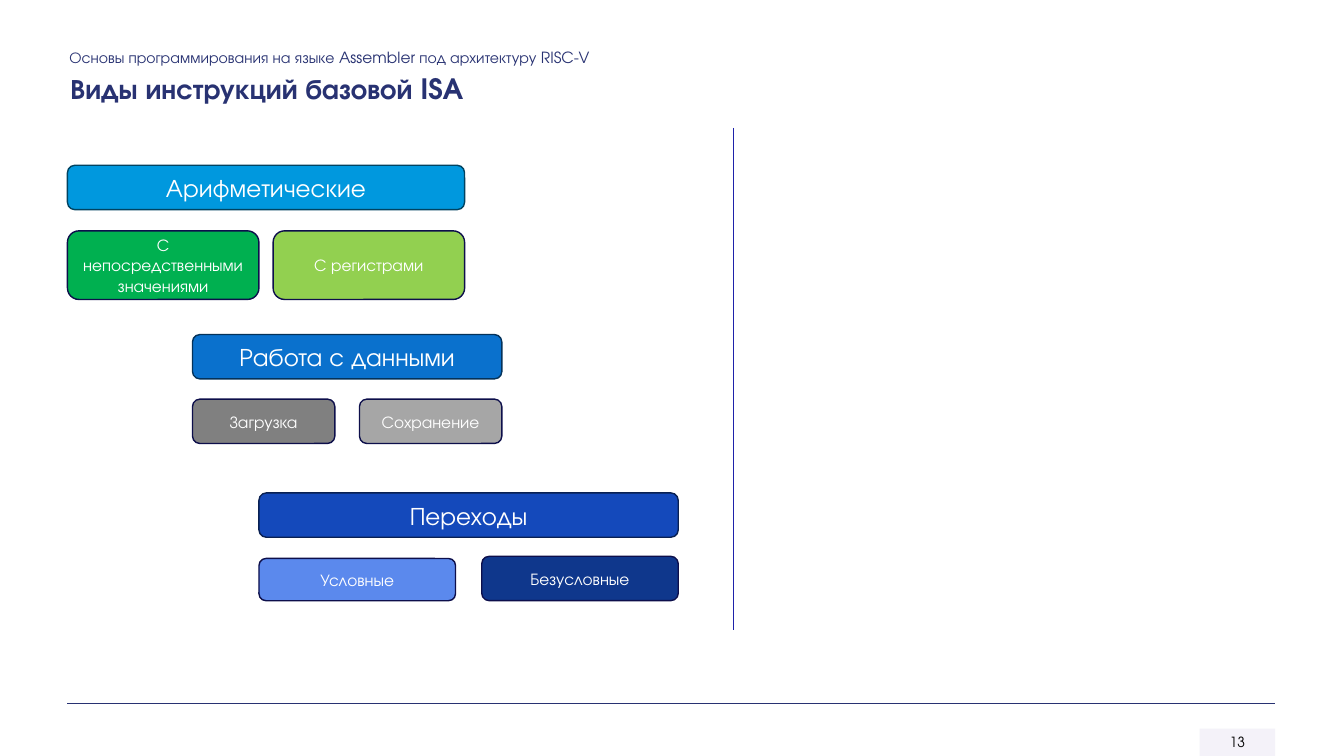
from dataclasses import dataclass

from lxml.etree import SubElement
from pptx import Presentation
from pptx.dml.color import RGBColor
from pptx.enum.shapes import MSO_CONNECTOR, MSO_SHAPE
from pptx.enum.text import MSO_ANCHOR, MSO_AUTO_SIZE, PP_ALIGN
from pptx.oxml.ns import qn
from pptx.shapes.autoshape import Shape
from pptx.slide import Slide
from pptx.util import Pt


@dataclass(frozen=True)
class Theme:
    font: str = "TeX Gyre Adventor"
    ink: str = "283272"
    divider: str = "1E22AA"
    kind_edge: str = "0D0F4B"
    page_fill: str = "F3F1F9"
    page_ink: str = "000000"
    light: str = "FFFFFF"
    title_size: float = 20
    family_size: float = 18
    kind_size: float = 12
    course_size: float = 11
    page_size: float = 10


@dataclass(frozen=True)
class Box:
    left: float
    top: float
    width: float
    height: float


@dataclass(frozen=True)
class Kind:
    label: str
    fill: str
    height: float


@dataclass(frozen=True)
class Family:
    label: str
    fill: str
    edge: str
    box: Box
    kind_width: float
    kinds_bottom: float
    kinds: tuple[Kind, Kind]


THEME = Theme()
FAMILY_HEIGHT = 31.7

FAMILIES = (
    Family("Арифметические", "0098DE", "004361", Box(48.2, 118.1, 283.7, FAMILY_HEIGHT), 136.8, 213.9,
           (Kind("С непосредственными значениями", "00B050", 49),
            Kind("С регистрами", "92D050", 49))),
    Family("Работа с данными", "0A71CD", "04325A", Box(137.5, 239, 221, FAMILY_HEIGHT), 101.7, 316.8,
           (Kind("Загрузка", "808080", 31.7),
            Kind("Сохранение", "A6A6A6", 31.7))),
    Family("Переходы", "1449BB", "092052", Box(185, 352.1, 299.5, FAMILY_HEIGHT), 140.4, 429.1,
           (Kind("Условные", "5B89ED", 30.2),
            Kind("Безусловные", "0F378C", 31.7))),
)


def write(shape: Shape, text: str, *, size: float, color: str, bold: bool = False,
          align: PP_ALIGN = PP_ALIGN.LEFT, anchor: MSO_ANCHOR = MSO_ANCHOR.TOP,
          wrap: bool = True) -> None:
    frame = shape.text_frame
    frame.word_wrap = wrap
    frame.vertical_anchor = anchor
    paragraph = frame.paragraphs[0]
    paragraph.alignment = align
    run = paragraph.add_run()
    run.text = text
    run.font.name = THEME.font
    run.font.size = Pt(size)
    run.font.bold = bold
    run.font.color.rgb = RGBColor.from_string(color)


def add_heading(slide: Slide, text: str, box: Box, size: float,
                bold: bool = False, wrap: bool = True) -> None:
    heading = slide.shapes.add_textbox(Pt(box.left), Pt(box.top), Pt(box.width), Pt(box.height))
    write(heading, text, size=size, color=THEME.ink, bold=bold, wrap=wrap)
    heading.text_frame.auto_size = MSO_AUTO_SIZE.SHAPE_TO_FIT_TEXT


def add_panel(slide: Slide, preset: MSO_SHAPE, box: Box, fill: str, edge: str | None = None) -> Shape:
    panel = slide.shapes.add_shape(preset, Pt(box.left), Pt(box.top), Pt(box.width), Pt(box.height))
    panel.shadow.inherit = False
    panel.fill.solid()
    panel.fill.fore_color.rgb = RGBColor.from_string(fill)
    if edge is None:
        panel.line.fill.background()
    else:
        panel.line.color.rgb = RGBColor.from_string(edge)
        panel.line.width = Pt(1)
    return panel


def add_block(slide: Slide, label: str, box: Box, fill: str, edge: str, size: float) -> None:
    block = add_panel(slide, MSO_SHAPE.ROUNDED_RECTANGLE, box, fill, edge)
    write(block, label, size=size, color=THEME.light,
          align=PP_ALIGN.CENTER, anchor=MSO_ANCHOR.MIDDLE)


def add_family(slide: Slide, family: Family) -> None:
    add_block(slide, family.label, family.box, family.fill, family.edge, THEME.family_size)
    step = family.box.width - family.kind_width
    for index, kind in enumerate(family.kinds):
        box = Box(family.box.left + index * step, family.kinds_bottom - kind.height,
                  family.kind_width, kind.height)
        add_block(slide, kind.label, box, kind.fill, THEME.kind_edge, THEME.kind_size)


def add_rule(slide: Slide, start: tuple[float, float], end: tuple[float, float],
             color: str, width: float) -> None:
    rule = slide.shapes.add_connector(
        MSO_CONNECTOR.STRAIGHT, Pt(start[0]), Pt(start[1]), Pt(end[0]), Pt(end[1]))
    rule.line.color.rgb = RGBColor.from_string(color)
    rule.line.width = Pt(width)
    SubElement(rule.element.spPr, qn("a:effectLst"))


def add_page_number(slide: Slide, number: str) -> None:
    page = add_panel(slide, MSO_SHAPE.RECTANGLE, Box(856.8, 520.5, 54, 19.5), THEME.page_fill)
    fill_color = page.element.spPr.find(qn("a:solidFill"))[0]
    SubElement(fill_color, qn("a:alpha"), val="90000")
    write(page, number, size=THEME.page_size, color=THEME.page_ink, align=PP_ALIGN.CENTER)


def main() -> None:
    deck = Presentation()
    deck.slide_width, deck.slide_height = Pt(960), Pt(540)
    slide = deck.slides.add_slide(deck.slide_layouts[6])

    add_page_number(slide, "13")
    add_rule(slide, (48.2, 502.6), (910.8, 502.6), THEME.ink, 1)
    add_heading(slide, "Основы программирования на языке Assembler под архитектуру RISC-V",
                Box(42.5, 31, 737.3, 20.9), THEME.course_size)
    add_heading(slide, "Виды инструкций базовой ISA",
                Box(43.2, 47.5, 315.4, 31.7), THEME.title_size, bold=True, wrap=False)
    for family in FAMILIES:
        add_family(slide, family)
    add_rule(slide, (524.2, 91.4), (524.2, 450), THEME.divider, 0.5)

    deck.save("out.pptx")


if __name__ == "__main__":
    main()
